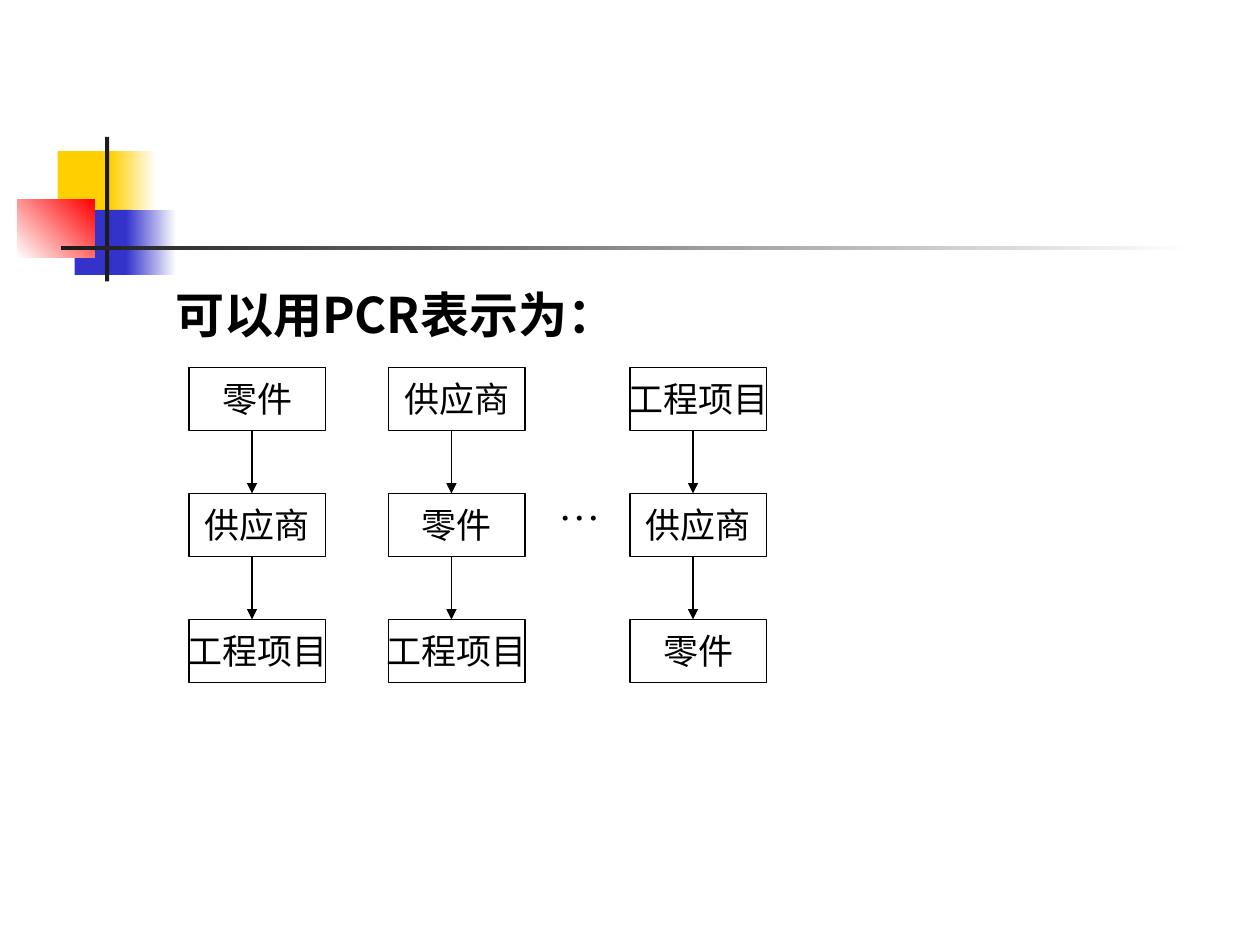
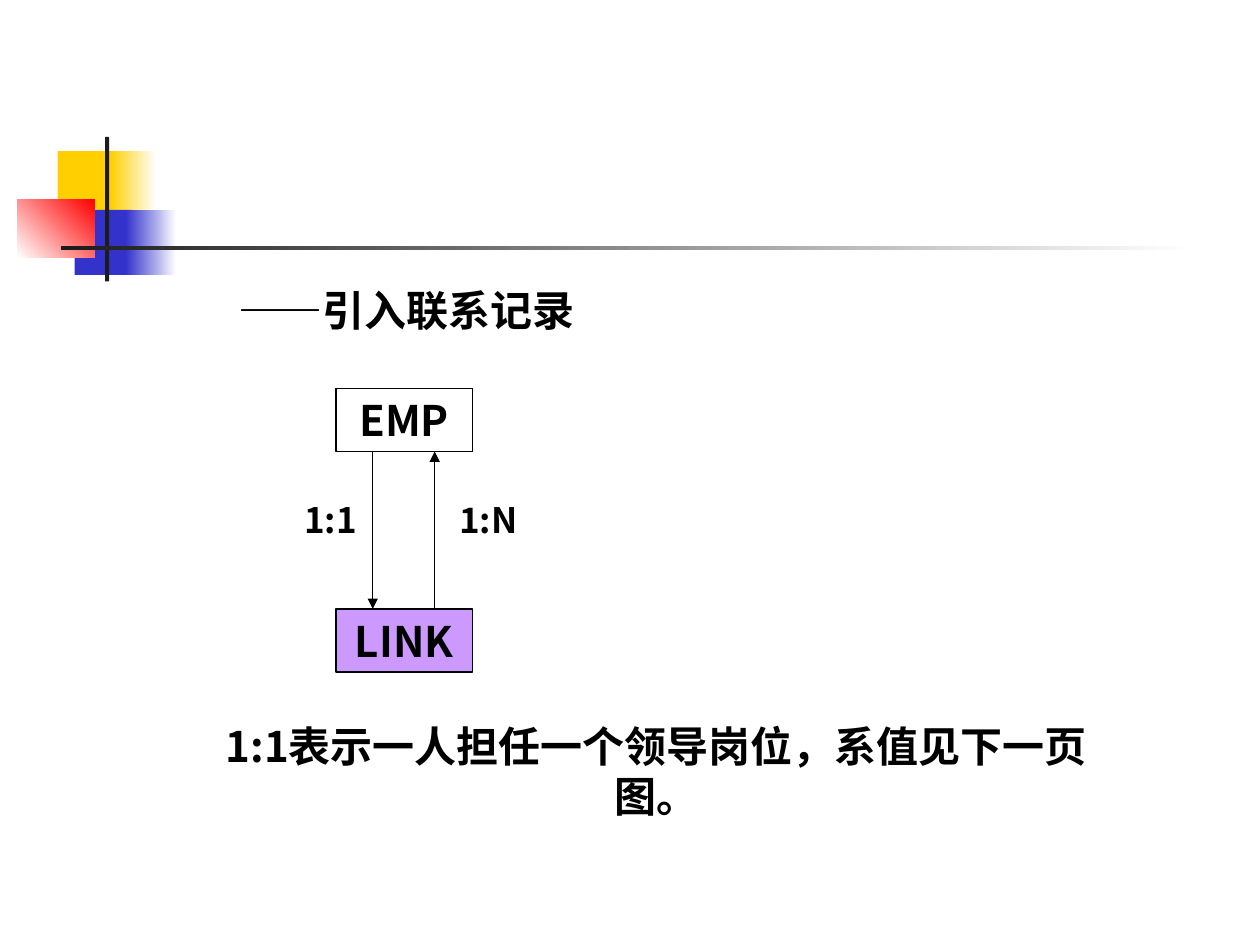
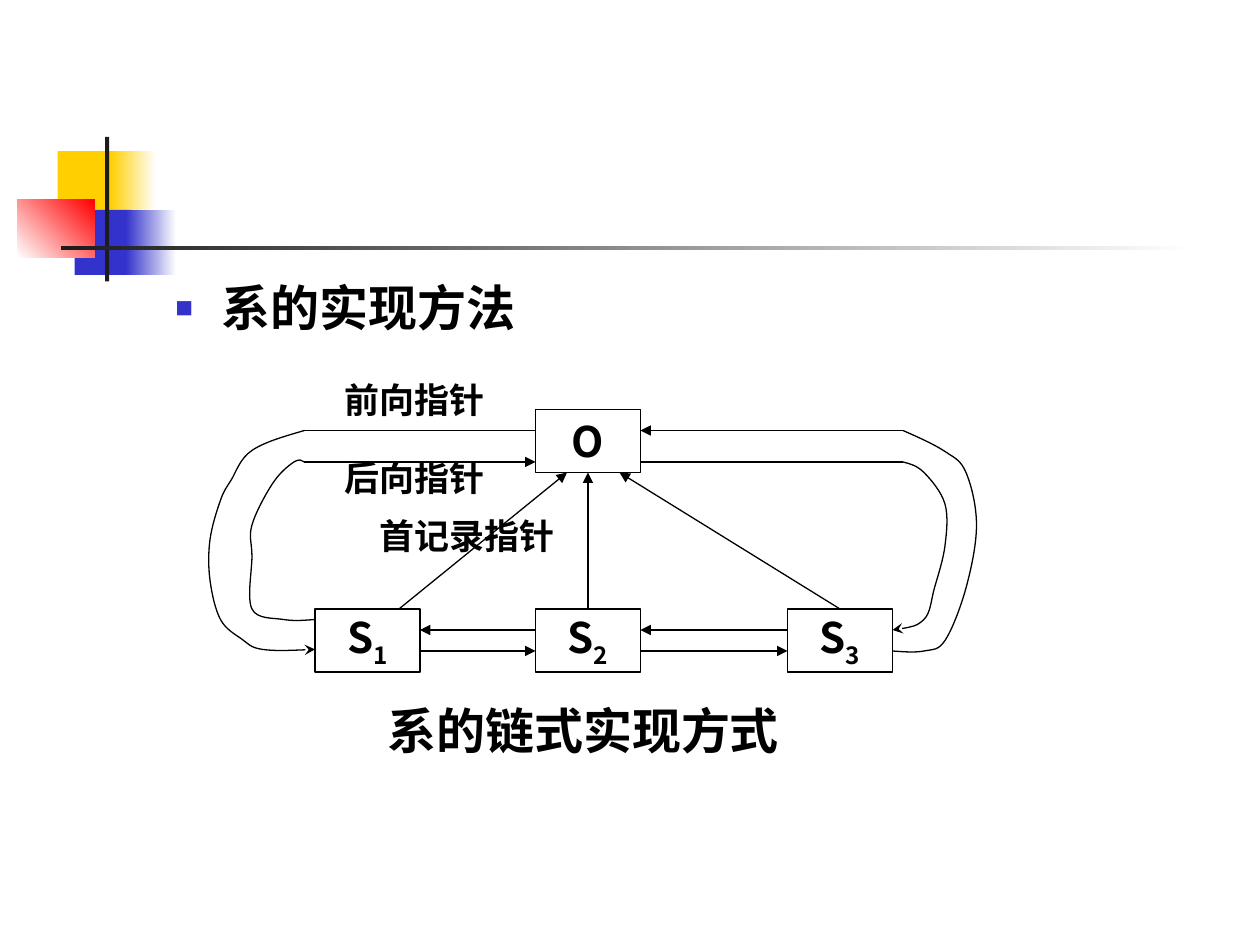
from dataclasses import dataclass
from itertools import pairwise
from typing import NamedTuple

from lxml.etree import SubElement
from pptx import Presentation
from pptx.dml.color import RGBColor
from pptx.enum.shapes import MSO_CONNECTOR, MSO_SHAPE
from pptx.enum.text import MSO_ANCHOR as Anchor, MSO_AUTO_SIZE, PP_ALIGN as Align
from pptx.oxml.ns import qn
from pptx.util import Emu, Inches, Pt


# Theme
@dataclass(frozen=True)
class Theme:
    black: str = "000000"
    white: str = "FFFFFF"
    yellow: str = "FFCF01"
    blue: str = "3333CC"
    red: str = "FF0000"
    dark: str = "1C1C1C"
    lilac: str = "CC99FF"
    cjk: str = "Noto Sans CJK SC"
    latin: str = "Cabin"
    serif: str = "Times New Roman"
    heading: int = 28
    text: int = 24
    label: int = 20
    line: float = 0.75


THEME = Theme()
SLIDE_W, SLIDE_H = Inches(10), Inches(7.5)
COLUMNS, ROWS = 120, 90
BOX_H = 6


# Records: all lengths are grid columns and rows
class Area(NamedTuple):
    col: float
    row: float
    width: float
    height: float


class Point(NamedTuple):
    col: float
    row: float


class Run(NamedTuple):
    text: str
    font: str = THEME.cjk
    subscript: bool = False
    east_asian: str = THEME.cjk


class Motif(NamedTuple):
    area: Area
    start: str
    end: str | None = None
    angle: int = 0


class Arrow(NamedTuple):
    start: Point
    end: Point
    head: str | None = "triangle"


class Curve(NamedTuple):
    knots: list[tuple[float, float]]
    head: str | None = None


class Label(NamedTuple):
    text: str
    area: Area
    size: int = THEME.label


HEADING_AREA = Area(15.5, 26.5, 102, 7)
MOTIFS = [
    Motif(Area(5.5, 14.4, 5.75, 6.25), THEME.yellow),
    Motif(Area(10.5, 14.4, 4.35, 6.25), THEME.yellow, THEME.white),
    Motif(Area(7.1, 20, 5.5, 6.2), THEME.blue),
    Motif(Area(12, 20, 4.8, 6.2), THEME.blue, THEME.white),
    Motif(Area(1.65, 19, 7.35, 5.5), THEME.white, THEME.red, 45),
    Motif(Area(10, 13.05, 0.4, 13.75), THEME.dark),
    Motif(Area(5.8, 23.4, 108, 0.4), THEME.dark, THEME.white),
]


# Grid
def x_at(col: float) -> Emu:
    return Emu(round(SLIDE_W * col / COLUMNS))


def y_at(row: float) -> Emu:
    return Emu(round(SLIDE_H * row / ROWS))


def place(area: Area) -> tuple[Emu, Emu, Emu, Emu]:
    return x_at(area.col), y_at(area.row), x_at(area.width), y_at(area.height)


def rgb(value: str) -> RGBColor:
    return RGBColor.from_string(value)


# Text
def set_bullet(props, bullet: str | None) -> None:
    if bullet is None:
        SubElement(props, qn("a:buNone"))
        return
    color = SubElement(props, qn("a:buClr"))
    SubElement(color, qn("a:srgbClr"), val=THEME.blue)
    SubElement(props, qn("a:buSzPct"), val="60000")
    SubElement(props, qn("a:buFont"), typeface=THEME.serif)
    SubElement(props, qn("a:buChar"), char=bullet)


def write_text(frame, text: str | list[Run], *, size: int, font: str = THEME.cjk,
               east_asian: str = THEME.cjk, bold: bool = True, align=Align.CENTER,
               anchor=Anchor.MIDDLE, wrap: bool = False, bullet: str | None = None,
               margin: float = 0, hanging: float = 0, spacing: float = 1.0) -> None:
    frame.word_wrap = wrap
    frame.auto_size = MSO_AUTO_SIZE.NONE
    frame.vertical_anchor = anchor
    paragraph = frame.paragraphs[0]
    props = paragraph._p.get_or_add_pPr()
    props.set("marL", str(Inches(margin)))
    props.set("indent", str(-Inches(hanging)))
    props.set("hangingPunct", "0")
    set_bullet(props, bullet)
    paragraph.alignment = align
    paragraph.space_before = Pt(0)
    paragraph.line_spacing = spacing
    runs = [Run(text, font, east_asian=east_asian)] if isinstance(text, str) else text
    for part in runs:
        run = paragraph.add_run()
        run.text = part.text
        run.font.name, run.font.size, run.font.bold = part.font, Pt(size), bold
        run.font.color.rgb = rgb(THEME.black)
        run_props = run._r.get_or_add_rPr()
        if part.subscript:
            run_props.set("baseline", "-25000")
        SubElement(run_props, qn("a:ea"), typeface=part.east_asian)


def add_heading(slide, text: str | list[Run], **style) -> None:
    slide.shapes.title.element.getparent().remove(slide.shapes.title.element)
    body = slide.placeholders[1]
    body.left, body.top, body.width, body.height = place(HEADING_AREA)
    write_text(body.text_frame, text, align=Align.LEFT, anchor=Anchor.TOP,
               wrap=True, **style)


def add_label(slide, text: str, area: Area, **style) -> None:
    box = slide.shapes.add_textbox(*place(area))
    write_text(box.text_frame, text, **style)


# Shapes
def add_record(slide, text: str | list[Run], area: Area,
               fill: str | None = None, **style) -> None:
    record = slide.shapes.add_shape(MSO_SHAPE.RECTANGLE, *place(area))
    record.shadow.inherit = False
    if fill:
        record.fill.solid()
        record.fill.fore_color.rgb = rgb(fill)
    else:
        record.fill.background()
    set_line(record)
    write_text(record.text_frame, text, **style)


def set_line(shape, head: str | None = None) -> None:
    shape.line.color.rgb = rgb(THEME.black)
    shape.line.width = Pt(THEME.line)
    if head:
        SubElement(shape.element.spPr.find(qn("a:ln")), qn("a:tailEnd"), type=head)


def add_arrow(slide, arrow: Arrow) -> None:
    (x1, y1), (x2, y2) = arrow.start, arrow.end
    line = slide.shapes.add_connector(
        MSO_CONNECTOR.STRAIGHT, x_at(x1), y_at(y1), x_at(x2), y_at(y2))
    set_line(line, arrow.head)
    SubElement(line.element.spPr, qn("a:effectLst"))


def spline_controls(knots: list[tuple]) -> list[tuple]:
    """Two control points for each piece of a smooth line through the knots."""
    def middle(a, b):
        return tuple((p + q) / 2 for p, q in zip(a, b))

    slopes = [tuple((q - p) / 6 for p, q in zip(before, after))
              for before, after in zip(knots, knots[2:])]
    slopes = [None, *slopes, None]
    controls = []
    for (start, out), (end, into) in pairwise(zip(knots, slopes)):
        first = out and tuple(k + s for k, s in zip(start, out))
        second = into and tuple(k - s for k, s in zip(end, into))
        controls.append((first or middle(start, second), second or middle(end, first)))
    return controls


def add_curve(slide, curve: Curve) -> None:
    knots = [(x_at(col), y_at(row)) for col, row in curve.knots]
    builder = slide.shapes.build_freeform(*knots[0])
    builder.add_line_segments(knots[1:], close=False)
    shape = builder.convert_to_shape()
    shape.shadow.inherit = False
    shape.fill.background()
    set_line(shape, curve.head)
    # Turn each straight piece into a cubic one
    pieces = list(shape.element.iter(qn("a:lnTo")))
    for piece, controls in zip(pieces, spline_controls(knots)):
        piece.tag = qn("a:cubicBezTo")
        for i, (x, y) in enumerate(controls):
            control = SubElement(piece, qn("a:pt"), x=str(round(x - shape.left)),
                                 y=str(round(y - shape.top)))
            piece.insert(i, control)


def add_motifs(slide, layout) -> None:
    """Draw the shared corner motif and move it behind the layout's content."""
    for i, motif in enumerate(MOTIFS):
        block = slide.shapes.add_shape(MSO_SHAPE.RECTANGLE, *place(motif.area))
        block.shadow.inherit = False
        block.line.fill.background()
        if motif.end:
            block.fill.gradient()
            block.fill.gradient_angle = motif.angle
            for stop, color in zip(block.fill.gradient_stops, (motif.start, motif.end)):
                stop.color.rgb = rgb(color)
        else:
            block.fill.solid()
            block.fill.fore_color.rgb = rgb(motif.start)
        layout.shapes.element.insert(2 + i, block.element)


# Slide 1: record hierarchies
def build_hierarchies(slide) -> None:
    add_heading(slide, "可以用PCR表示为：", size=THEME.heading, margin=0.38, hanging=0.38)
    part, supplier, project = "零件", "供应商", "工程项目"
    chains = {18: (part, supplier, project),
              37: (supplier, part, project),
              60: (project, supplier, part)}
    top, step = 35, 12
    for col, chain in chains.items():
        for level, name in enumerate(chain):
            row = top + level * step
            add_record(slide, name, Area(col, row, 13, BOX_H),
                       size=THEME.label, font=THEME.latin, bold=False)
            if level:
                add_arrow(slide, Arrow(Point(col + 6, row - step + BOX_H),
                                       Point(col + 6, row)))
    add_label(slide, "…", Area(52, 45, 6, 6), size=THEME.text, font=THEME.serif,
              east_asian=THEME.serif, bold=False, align=Align.LEFT,
              anchor=Anchor.TOP, wrap=True)


# Slide 2: link record
def build_link_record(slide) -> None:
    add_heading(slide, [Run("——", THEME.serif), Run("引入联系记录")],
                size=THEME.text, margin=0.5)
    emp_row, link_row = 37, 58
    add_record(slide, "EMP", Area(32, emp_row, 13, BOX_H), size=THEME.text)
    add_record(slide, "LINK", Area(32, link_row, 13, BOX_H), THEME.lilac, size=THEME.text)
    emp_bottom = emp_row + BOX_H
    add_arrow(slide, Arrow(Point(35.5, emp_bottom), Point(35.5, link_row)))
    add_arrow(slide, Arrow(Point(41.4, link_row), Point(41.4, emp_bottom)))
    for ratio, col in (("1:1", 26), ("1:N", 41)):
        add_label(slide, ratio, Area(col, 47, 11, 5), size=THEME.label)
    add_label(slide, "1:1表示一人担任一个领导岗位，系值见下一页图。",
              Area(17, 68, 91, 6), size=THEME.text, anchor=Anchor.TOP, wrap=True)


# Slide 3: chained set
def build_chain(slide) -> None:
    add_heading(slide, "系的实现方法", size=THEME.heading, font=THEME.latin,
                bullet="■", margin=0.37, hanging=0.37, spacing=0.9)
    width, owner_col, owner_row, member_row = 10, 51, 39, 58
    member_cols = (30, 51, 75)
    add_record(slide, "O", Area(owner_col, owner_row, width, BOX_H), size=THEME.text)
    for number, col in enumerate(member_cols, 1):
        add_record(slide, [Run("S"), Run(str(number), subscript=True)],
                   Area(col, member_row, width, BOX_H), size=THEME.text)

    # Pointers from members to owner, and between neighbouring members
    owner_bottom = owner_row + BOX_H
    arrows = [Arrow(Point(start, member_row), Point(end, owner_bottom))
              for start, end in ((38, 54), (56, 56), (80, 59))]
    for left, right in pairwise(member_cols):
        arrows += [Arrow(Point(right, 60), Point(left + width, 60)),
                   Arrow(Point(left + width, 62), Point(right, 62))]

    # Outer loops: straight runs beside the owner, then curves
    owner_right = owner_col + width
    arrows += [Arrow(Point(owner_col, 41), Point(29, 41), None),
               Arrow(Point(29, 44), Point(owner_col, 44)),
               Arrow(Point(owner_right, 44), Point(86, 44), None),
               Arrow(Point(86, 41), Point(owner_right, 41))]
    for arrow in arrows:
        add_arrow(slide, arrow)
    curves = [
        Curve([(29, 41), (24, 42.9), (22, 45.75), (21, 47.65), (20, 51.4),
               (20, 55.25), (21, 59), (23, 60.85), (25, 61.85), (30, 61.85)], "stealth"),
        Curve([(30, 59), (27, 59), (24, 58), (24, 53), (24, 50), (26, 46),
               (28, 44), (29, 44)]),
        Curve([(86, 44), (88, 45), (90, 48), (90, 52), (89, 56), (88, 59),
               (85, 60)], "stealth"),
        Curve([(85, 62), (88, 62), (90, 61), (92, 56), (93, 50), (92, 45),
               (90, 43), (86, 41)]),
    ]
    for curve in curves:
        add_curve(slide, curve)
    labels = [
        Label("前向指针", Area(34, 35.55, 11, 5)),
        Label("后向指针", Area(34, 43, 11, 5)),
        Label("首记录指针", Area(39, 49, 11, 4)),
        Label("系的链式实现方式", Area(50.05, 67, 11, 5), THEME.heading),
    ]
    for label in labels:
        add_label(slide, label.text, label.area, size=label.size)


def main() -> None:
    prs = Presentation()
    prs.slide_width, prs.slide_height = SLIDE_W, SLIDE_H
    layout = prs.slide_layouts[1]
    builders = (build_hierarchies, build_link_record, build_chain)
    slides = [prs.slides.add_slide(layout) for _ in builders]
    add_motifs(slides[0], layout)
    for build, slide in zip(builders, slides):
        build(slide)
    prs.save("out.pptx")


if __name__ == "__main__":
    main()
